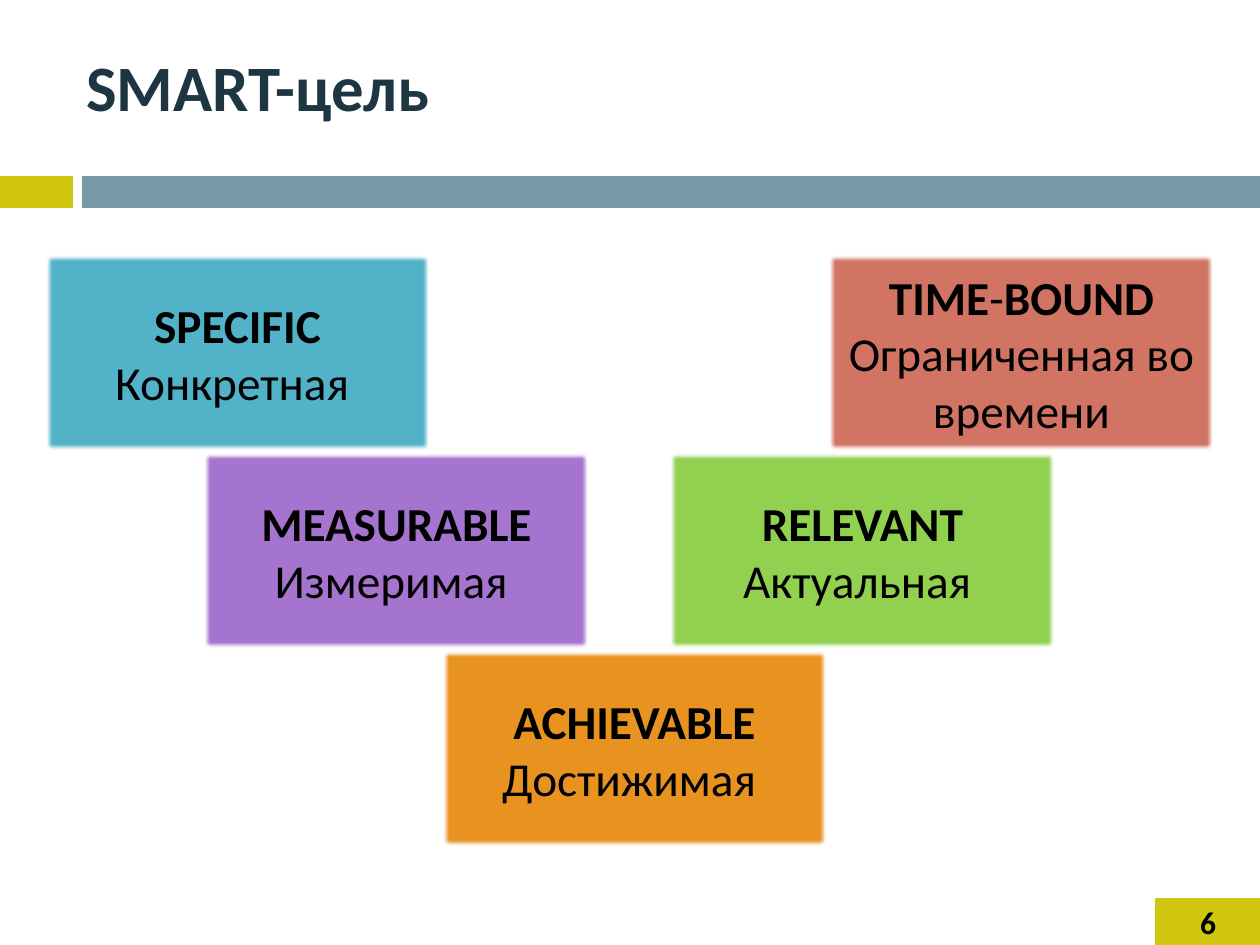
from dataclasses import dataclass

import lxml.etree
import pptx
import pptx.dml.color
import pptx.enum.shapes
import pptx.enum.text
import pptx.oxml.ns
import pptx.util

PX = 914400 / 126  # EMU in one px


@dataclass(frozen=True)
class Theme:
    font: str = "Calibri"
    title_size: int = 37
    card_size: int = 27
    number_size: int = 18
    title: str = "1D3641"
    text: str = "000000"
    accent: str = "CFC60D"
    band: str = "759AA5"
    specific: str = "52B2C8"
    measurable: str = "A574CE"
    achievable: str = "E89220"
    relevant: str = "92D050"
    time_bound: str = "D27464"


THEME = Theme()


def px(length):
    return pptx.util.Emu(round(length * PX))


def rgb(color):
    return pptx.dml.color.RGBColor.from_string(color)


def add_runs(paragraph, runs, size, color):
    """Add (text, bold) pairs to a paragraph."""
    for text, bold in runs:
        run = paragraph.add_run()
        run.text = text
        run.font.name = THEME.font
        run.font.size = pptx.util.Pt(size)
        run.font.bold = bold
        run.font.color.rgb = rgb(color)


def add_block(slide, box, color, runs=(), size=THEME.card_size):
    """Add a flat rectangle with optional centred text."""
    rectangle = pptx.enum.shapes.MSO_SHAPE.RECTANGLE
    shape = slide.shapes.add_shape(rectangle, *map(px, box))
    shape.shadow.inherit = False
    shape.fill.solid()
    shape.fill.fore_color.rgb = rgb(color)
    shape.line.fill.background()
    frame = shape.text_frame
    frame.word_wrap = True
    frame.vertical_anchor = pptx.enum.text.MSO_ANCHOR.MIDDLE
    paragraph = frame.paragraphs[0]
    paragraph.alignment = pptx.enum.text.PP_ALIGN.CENTER
    add_runs(paragraph, runs, size, THEME.text)
    return shape


def soften_edges(shape, radius):
    effects = shape._element.spPr.find(pptx.oxml.ns.qn("a:effectLst"))
    edge = lxml.etree.SubElement(effects, pptx.oxml.ns.qn("a:softEdge"))
    edge.set("rad", str(pptx.util.Pt(radius)))


def add_title(slide, text):
    box = slide.shapes.add_textbox(px(74), px(26), px(1124), px(136))
    frame = box.text_frame
    frame.word_wrap = True
    frame.vertical_anchor = pptx.enum.text.MSO_ANCHOR.MIDDLE
    paragraph = frame.paragraphs[0]
    paragraph.line_spacing = 0.75
    add_runs(paragraph, [(text, True)], THEME.title_size, THEME.title)


def add_cards(slide):
    """Place the five goal criteria along a V, row by row."""
    top, width, height = 254, 387, 198
    cards = [
        (44, 0, THEME.specific, [("SPECIFIC ", True), ("Конкретная ", False)]),
        (203, 1, THEME.measurable, [("MEASURABLE", True), (" Измеримая ", False)]),
        (441, 2, THEME.achievable, [("ACHIEVABLE ", True), ("Достижимая ", False)]),
        (669, 1, THEME.relevant, [("RELEVANT", True), (" Актуальная ", False)]),
        (828, 0, THEME.time_bound, [("TIME", True), ("-", False), ("BOUND ", True),
                                    ("Ограниченная во времени", False)]),
    ]
    for left, row, color, runs in cards:
        box = (left, top + row * height, width, height)
        soften_edges(add_block(slide, box, color, runs), 2.5)


def add_page_number(slide, number):
    shape = add_block(slide, (1156, 899, 104, 46), THEME.accent,
                      [(number, True)], THEME.number_size)
    shape.line.color.rgb = rgb(THEME.accent)
    shape.line.width = pptx.util.Pt(1.5)


def main():
    presentation = pptx.Presentation()
    presentation.slide_width = px(1260)
    presentation.slide_height = px(945)
    slide = presentation.slides.add_slide(presentation.slide_layouts[6])

    # Header
    add_block(slide, (0, 176, 73, 32), THEME.accent)
    add_block(slide, (82, 176, 1178, 32), THEME.band)
    add_title(slide, "SMART-цель")

    # Page number and criteria
    add_page_number(slide, "6")
    add_cards(slide)

    presentation.save("out.pptx")


if __name__ == "__main__":
    main()
